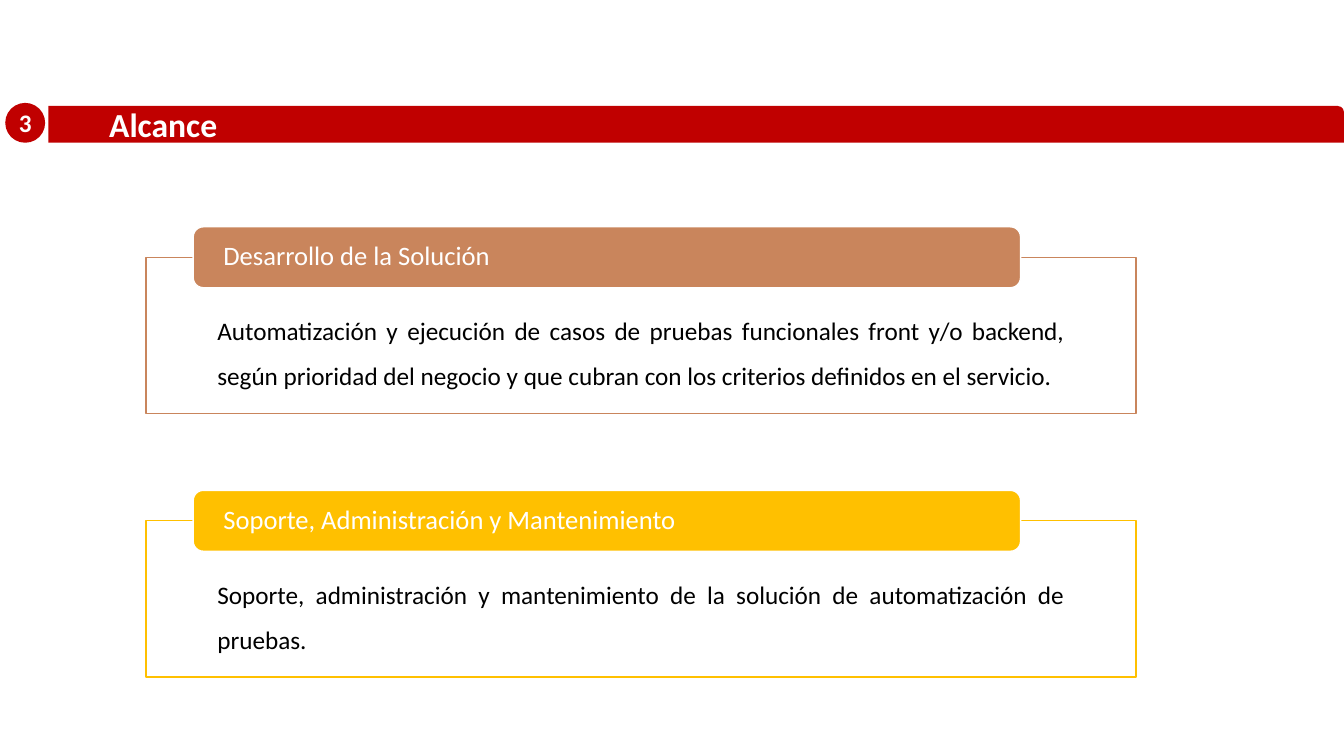
from dataclasses import dataclass

from pptx import Presentation
from pptx.dml.color import RGBColor
from pptx.enum.shapes import MSO_SHAPE
from pptx.enum.text import MSO_ANCHOR, MSO_AUTO_SIZE, PP_ALIGN
from pptx.shapes.autoshape import Shape
from pptx.slide import Slide
from pptx.text.text import TextFrame
from pptx.util import Pt

PX = 9525  # EMU in one px, on a slide of 1280 by 720
FONT = "Calibri"
RED = RGBColor(0xC0, 0x00, 0x00)
COPPER = RGBColor(0xC9, 0x85, 0x5C)
AMBER = RGBColor(0xFF, 0xC0, 0x00)
WHITE = RGBColor(0xFF, 0xFF, 0xFF)
BLACK = RGBColor(0x00, 0x00, 0x00)

RECTANGLE = MSO_SHAPE.RECTANGLE
ROUNDED = MSO_SHAPE.ROUNDED_RECTANGLE
ONE_ROUND_CORNER = MSO_SHAPE.ROUND_1_RECTANGLE
OVAL = MSO_SHAPE.OVAL
TOP, MIDDLE = MSO_ANCHOR.TOP, MSO_ANCHOR.MIDDLE
LEFT, CENTER, JUSTIFY = PP_ALIGN.LEFT, PP_ALIGN.CENTER, PP_ALIGN.JUSTIFY
NO_AUTOFIT = MSO_AUTO_SIZE.NONE

TITLE_ONLY = 5
FIRST_SECTION_TOP = 216
SECTION_PITCH = 251


@dataclass(frozen=True)
class Box:
    left: int
    top: int
    width: int
    height: int

    def emu(self) -> tuple[int, int, int, int]:
        return self.left * PX, self.top * PX, self.width * PX, self.height * PX


@dataclass(frozen=True)
class TextStyle:
    size: int
    color: RGBColor
    align: PP_ALIGN
    anchor: MSO_ANCHOR
    margins: tuple[int, int, int, int]  # left, top, right, bottom
    line_spacing: float = 1.0
    bold: bool = False


@dataclass(frozen=True)
class Section:
    heading: str
    scope: str
    color: RGBColor


TITLE_BAR = Box(46, 101, 1234, 35)
TITLE_STYLE = TextStyle(24, WHITE, LEFT, MIDDLE, (58, 5, 10, 5), bold=True)
NUMBER_STYLE = TextStyle(18, WHITE, CENTER, MIDDLE, (0, 0, 0, 0), bold=True)
HEADING_STYLE = TextStyle(19, WHITE, LEFT, MIDDLE, (26, 3, 26, 3), 0.9)
SCOPE_STYLE = TextStyle(18, BLACK, JUSTIFY, TOP, (68, 41, 68, 14), 1.5)

SECTIONS = [
    Section(
        "Desarrollo de la Solución",
        "Automatización y ejecución de casos de pruebas funcionales front y/o "
        "backend, según prioridad del negocio y que cubran con los criterios "
        "definidos en el servicio.",
        COPPER,
    ),
    Section(
        "Soporte, Administración y Mantenimiento",
        "Soporte, administración y mantenimiento de la solución de "
        "automatización de pruebas.",
        AMBER,
    ),
]


def write(frame: TextFrame, text: str, style: TextStyle) -> None:
    frame.text = text
    frame.auto_size = NO_AUTOFIT
    frame.word_wrap = True
    frame.vertical_anchor = style.anchor
    left, top, right, bottom = style.margins
    frame.margin_left, frame.margin_top = left * PX, top * PX
    frame.margin_right, frame.margin_bottom = right * PX, bottom * PX
    paragraph = frame.paragraphs[0]
    paragraph.alignment = style.align
    paragraph.line_spacing = style.line_spacing
    font = paragraph.runs[0].font
    font.name, font.size, font.bold = FONT, Pt(style.size), style.bold
    font.color.rgb = style.color


def add_panel(slide: Slide, preset: MSO_SHAPE, box: Box, fill: RGBColor,
              line: RGBColor | None = None) -> Shape:
    panel = slide.shapes.add_shape(preset, *box.emu())
    panel.shadow.inherit = False
    panel.fill.solid()
    panel.fill.fore_color.rgb = fill
    if line is None:
        panel.line.fill.background()
    else:
        panel.line.color.rgb = line
        panel.line.width = Pt(1)
    return panel


def add_title(slide: Slide) -> None:
    title = slide.shapes.title
    title.left, title.top, title.width, title.height = TITLE_BAR.emu()
    write(title.text_frame, "Alcance", TITLE_STYLE)
    bar = add_panel(slide, ONE_ROUND_CORNER, TITLE_BAR, RED)
    title.element.addprevious(bar.element)  # the bar lies behind the title
    number = add_panel(slide, OVAL, Box(5, 98, 38, 38), RED)
    write(number.text_frame, "3", NUMBER_STYLE)


def add_section(slide: Slide, section: Section, top: int) -> None:
    frame = add_panel(slide, RECTANGLE, Box(139, top + 29, 943, 149), WHITE, section.color)
    write(frame.text_frame, section.scope, SCOPE_STYLE)
    heading = add_panel(slide, ROUNDED, Box(184, top, 788, 58), section.color, WHITE)
    write(heading.text_frame, section.heading, HEADING_STYLE)


def main() -> None:
    presentation = Presentation()
    presentation.slide_width, presentation.slide_height = 1280 * PX, 720 * PX
    slide = presentation.slides.add_slide(presentation.slide_layouts[TITLE_ONLY])
    add_title(slide)
    for index, section in enumerate(SECTIONS):
        add_section(slide, section, FIRST_SECTION_TOP + index * SECTION_PITCH)
    presentation.save("out.pptx")


if __name__ == "__main__":
    main()
